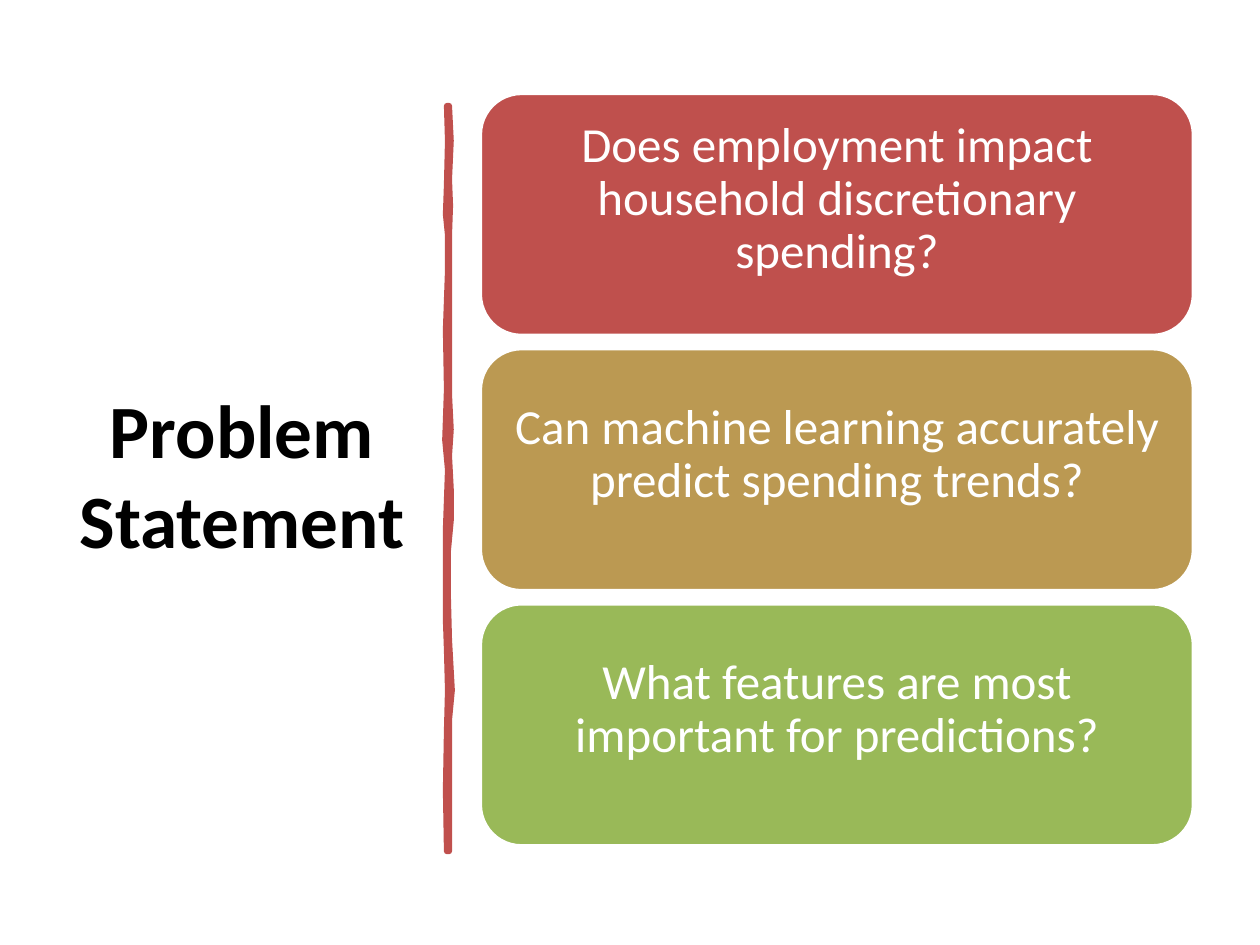
from dataclasses import dataclass

from pptx import Presentation
from pptx.dml.color import RGBColor
from pptx.enum.shapes import MSO_SHAPE
from pptx.enum.text import MSO_ANCHOR, PP_ALIGN
from pptx.util import Pt


@dataclass(frozen=True)
class Theme:
    """Colours, font and type sizes of the slide."""
    font: str = "Calibri"
    ink: str = "000000"
    paper: str = "FFFFFF"
    rule: str = "C0504D"
    fills: tuple = ("BF504D", "BB9952", "99B958")
    title: float = 43
    body: float = 28


THEME = Theme()
ASKS = (
    "Does employment impact household discretionary spending?",
    "Can machine learning accurately predict spending trends?",
    "What features are most important for predictions?",
)
RIGHT = (
    (3.2, 0), (4.2, 20), (3.2, 42), (3.8, 57), (3.2, 74), (3.2, 165),
    (4.2, 185), (3.2, 200), (4.2, 219), (4.2, 237), (2.6, 254), (2.6, 282),
    (3.2, 305), (4.8, 334), (3.2, 351), (3.2, 426),
)
LEFT = (
    (1.8, 426), (1.2, 391), (1.8, 357), (2.4, 334), (1.8, 311), (1.2, 294),
    (1.2, 242), (2.4, 208), (0.8, 191), (1.8, 162), (1.2, 128), (2.4, 94),
    (2.4, 74), (1.2, 62), (1.8, 45), (2.4, 20), (1.8, 0),
)


def paint(shape, fill, line, width):
    """Set the fill and outline of a shape and drop its shadow."""
    shape.shadow.inherit = False
    shape.fill.solid()
    shape.fill.fore_color.rgb = RGBColor.from_string(fill)
    shape.line.color.rgb = RGBColor.from_string(line)
    shape.line.width = Pt(width)


def write(shape, text, size, color, bold=False, space=1.0):
    """Put centred text in the middle of a shape."""
    frame = shape.text_frame
    frame.text = text
    frame.word_wrap = True
    frame.vertical_anchor = MSO_ANCHOR.MIDDLE
    para = frame.paragraphs[0]
    para.alignment = PP_ALIGN.CENTER
    para.line_spacing = space
    font = para.runs[0].font
    font.name, font.size, font.bold = THEME.font, Pt(size), bold
    font.color.rgb = RGBColor.from_string(color)
    return frame


def add_title(slide, left, top, width, height):
    """Add the slide title in the given box."""
    box = slide.shapes.add_textbox(Pt(left), Pt(top), Pt(width), Pt(height))
    write(box, "Problem Statement", THEME.title, THEME.ink, bold=True)


def add_rule(slide, left, top):
    """Add the hand-drawn upright rule from its two uneven edges."""
    dots = [(Pt(left + x), Pt(top + y)) for x, y in RIGHT + LEFT]
    pen = slide.shapes.build_freeform(*dots[0])
    pen.add_line_segments(dots[1:], close=True)
    paint(pen.convert_to_shape(), THEME.rule, THEME.rule, 3.25)


def add_cards(slide, left, top, width, height, gap):
    """Stack one rounded card for each question, evenly in the box."""
    count = len(ASKS)
    tall = (height - gap * (count - 1)) / count
    for row, (ask, fill) in enumerate(zip(ASKS, THEME.fills)):
        card = slide.shapes.add_shape(
            MSO_SHAPE.ROUNDED_RECTANGLE, Pt(left),
            Pt(top + row * (tall + gap)), Pt(width), Pt(tall))
        card.adjustments[0] = 0.17
        paint(card, fill, THEME.paper, 2)
        frame = write(card, ask, THEME.body, THEME.paper, space=0.9)
        frame.margin_left = frame.margin_right = frame.margin_top = Pt(7.2)
        frame.margin_bottom = Pt(24.3)


def main():
    """Build the slide and save it."""
    deck = Presentation()
    deck.slide_width, deck.slide_height = Pt(720), Pt(540)
    slide = deck.slides.add_slide(deck.slide_layouts[6])
    add_title(slide, 37.5, 50.4, 201.6, 440)
    add_rule(slide, 253.5, 60.5)
    add_cards(slide, 274.5, 53.4, 407.5, 430, 7.5)
    deck.save("out.pptx")


if __name__ == "__main__":
    main()
